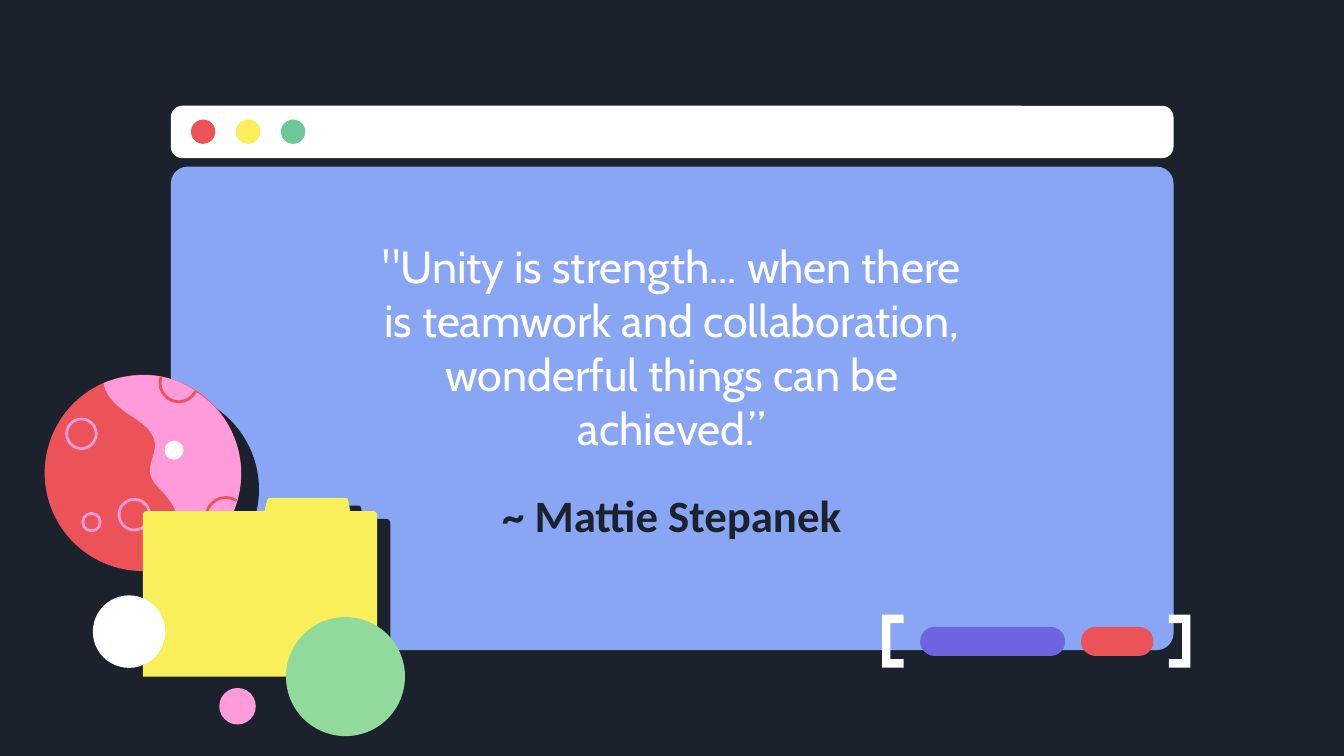
from lxml.etree import SubElement
from pptx import Presentation
from pptx.dml.color import RGBColor
from pptx.enum.shapes import MSO_SHAPE
from pptx.enum.text import MSO_ANCHOR, PP_ALIGN
from pptx.oxml.ns import qn
from pptx.util import Cm, Pt

NAVY, WHITE, BLUE = "1B222D", "FFFFFF", "88A6F3"
RED, YELLOW, PINK = "EB5358", "F8EF5B", "FF9BDA"
GREEN, MINT, PURPLE = "6DC797", "92D99C", "6D65E0"


def color(value):
    return RGBColor.from_string(value)


def format_text(frame, text, size=24, font="Cabin", fill=WHITE, bold=False,
                anchor=MSO_ANCHOR.TOP, align=PP_ALIGN.CENTER):
    frame.word_wrap = True
    frame.vertical_anchor = anchor
    frame.margin_left = frame.margin_right = Cm(0.25)
    frame.margin_top = frame.margin_bottom = Cm(0.25)
    paragraph = frame.paragraphs[0]
    paragraph.alignment = align
    run = paragraph.add_run()
    run.text = text
    run.font.size = Pt(size)
    run.font.name = font
    run.font.bold = bold
    run.font.color.rgb = color(fill)


def trace(start, segments, steps=16):
    points = [start]
    for segment in segments:
        if len(segment) == 2:
            points.append(segment)
            continue
        x0, y0 = points[-1]
        x1, y1, x2, y2, x3, y3 = segment
        for step in range(1, steps + 1):
            t = step / steps
            u = 1 - t
            weights = (u ** 3, 3 * u * u * t, 3 * u * t * t, t ** 3)
            points.append(tuple(
                sum(weight * value for weight, value in zip(weights, values))
                for values in ((x0, x1, x2, x3), (y0, y1, y2, y3))))
    return points


class SlidePainter:
    def __init__(self, slide, background):
        self.slide = slide
        slide.background.fill.solid()
        slide.background.fill.fore_color.rgb = color(background)

    def style(self, shape, fill=None, line=None, width=1.5):
        shape.shadow.inherit = False
        if fill:
            shape.fill.solid()
            shape.fill.fore_color.rgb = color(fill)
        else:
            shape.fill.background()
        if line:
            shape.line.color.rgb = color(line)
            shape.line.width = Pt(width)
        else:
            shape.line.fill.background()
        return shape

    def preset(self, kind, left, top, width, height, adjustments=(), **style):
        shape = self.slide.shapes.add_shape(
            kind, Cm(left), Cm(top), Cm(width), Cm(height))
        for index, value in enumerate(adjustments):
            shape.adjustments[index] = value
        return self.style(shape, **style)

    def rounded(self, left, top, width, height, radius, fill):
        return self.preset(MSO_SHAPE.ROUNDED_RECTANGLE, left, top, width,
                           height, [radius], fill=fill)

    def circle(self, x, y, diameter, **style):
        return self.preset(MSO_SHAPE.OVAL, x - diameter / 2, y - diameter / 2,
                           diameter, diameter, **style)

    def arc(self, x, y, diameter, start, end, line):
        return self.preset(MSO_SHAPE.ARC, x - diameter / 2, y - diameter / 2,
                           diameter, diameter, [start * 0.6, end * 0.6], line=line)

    def outline(self, points, fill):
        corners = [(Cm(x), Cm(y)) for x, y in points]
        builder = self.slide.shapes.build_freeform(*corners[0])
        builder.add_line_segments(corners[1:], close=True)
        return self.style(builder.convert_to_shape(), fill=fill)

    def bracket(self, outer, direction):
        top, bottom = 11.62, 12.62
        tip, inner = outer + direction * 0.41, outer + direction * 0.16
        self.outline([(outer, top), (tip, top), (tip, top + 0.16),
                      (inner, top + 0.16), (inner, bottom - 0.16),
                      (tip, bottom - 0.16), (tip, bottom), (outer, bottom)], WHITE)

    def drop_shadow(self, shape, fill, distance, angle):
        effects = shape.element.spPr.find(qn("a:effectLst"))
        shadow = SubElement(effects, qn("a:outerShdw"), blurRad="0",
                            dist=str(Pt(distance)), dir=str(angle * 60000),
                            algn="bl", rotWithShape="0")
        SubElement(shadow, qn("a:srgbClr"), val=fill)

    def text(self, left, top, width, height, text, **style):
        box = self.slide.shapes.add_textbox(Cm(left), Cm(top), Cm(width), Cm(height))
        format_text(box.text_frame, text, **style)


def draw_window(painter):
    painter.rounded(3.23, 2, 18.95, 0.99, 0.22, WHITE)
    for index, fill in enumerate((RED, YELLOW, GREEN)):
        painter.circle(3.84 + index * 0.85, 2.49, 0.46, fill=fill)
    painter.rounded(3.23, 3.15, 18.95, 9.14, 0.035, BLUE)


def draw_planet(painter):
    painter.circle(3.04, 9.25, 3.71, fill=NAVY)
    painter.circle(2.7, 8.94, 3.71, fill=RED)
    for x, y, diameter in ((1.54, 8.2, 0.56), (2.54, 9.73, 0.58), (1.73, 9.87, 0.33)):
        painter.circle(x, y, diameter, line=PINK)
    painter.outline(trace((1.96, 7.24), [
        (2.29, 7.11, 2.64, 7.06, 3, 7.11),
        (3.28, 7.16, 3.53, 7.26, 3.73, 7.42),
        (4.39, 7.85, 4.7, 8.66, 4.5, 9.42),
        (4.42, 9.73, 4.27, 10.01, 4.06, 10.21),
        (3.81, 10.46, 3.51, 10.64, 3.18, 10.74),
        (3.51, 10.01, 3.45, 9.68, 3, 9.22),
        (2.49, 8.74, 3.4, 8.46, 2.54, 7.9),
        (2.13, 7.65, 1.98, 7.42, 1.96, 7.24)]), PINK)
    painter.arc(3.38, 7.24, 0.71, 27, 200, RED)
    painter.arc(4.27, 9.78, 0.75, 114, 302, RED)
    painter.circle(3.29, 8.51, 0.36, fill=WHITE)


def draw_folder(painter):
    folder = painter.outline(trace((7.13, 9.74), [
        (7.13, 12.79), (2.7, 12.79), (2.7, 9.74),
        (2.7, 9.69, 2.74, 9.66, 2.79, 9.66),
        (5, 9.66), (5.05, 9.46),
        (5.06, 9.43, 5.08, 9.41, 5.1, 9.41),
        (6.53, 9.41),
        (6.56, 9.41, 6.57, 9.43, 6.58, 9.46),
        (6.62, 9.66), (7.04, 9.66),
        (7.09, 9.66, 7.13, 9.69, 7.13, 9.74)], steps=6), YELLOW)
    painter.drop_shadow(folder, NAVY, 8.2, 31)


def main():
    presentation = Presentation()
    presentation.slide_width, presentation.slide_height = Cm(25.4), Cm(14.29)
    slide = presentation.slides.add_slide(presentation.slide_layouts[6])
    painter = SlidePainter(slide, NAVY)

    draw_window(painter)
    draw_planet(painter)
    draw_folder(painter)
    painter.text(6.83, 8.89, 11.73, 1.68, "~ Mattie Stepanek", font="Calibri",
                 fill=NAVY, bold=True, anchor=MSO_ANCHOR.MIDDLE)
    painter.text(6.83, 4.27, 11.73, 4.45,
                 "\"Unity is strength... when there is teamwork and collaboration, "
                 "wonderful things can be achieved.”")

    painter.circle(6.53, 12.79, 2.25, fill=MINT)
    painter.bracket(16.67, 1)
    painter.rounded(17.39, 11.85, 2.74, 0.55, 0.5, PURPLE)
    painter.rounded(20.43, 11.85, 1.37, 0.55, 0.5, RED)
    painter.bracket(22.5, -1)
    painter.circle(2.44, 11.94, 1.37, fill=WHITE)
    painter.circle(4.49, 13.35, 0.69, fill=PINK)
    presentation.save("out.pptx")


if __name__ == "__main__":
    main()
